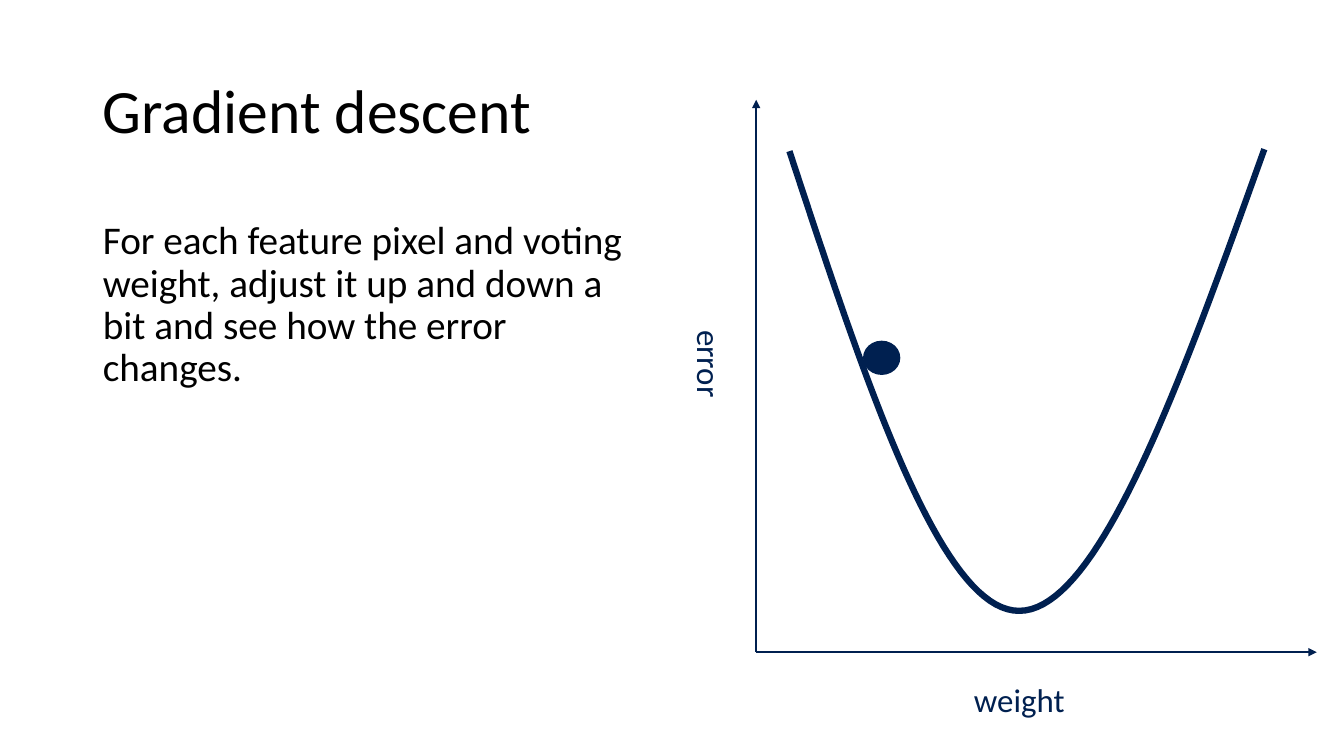
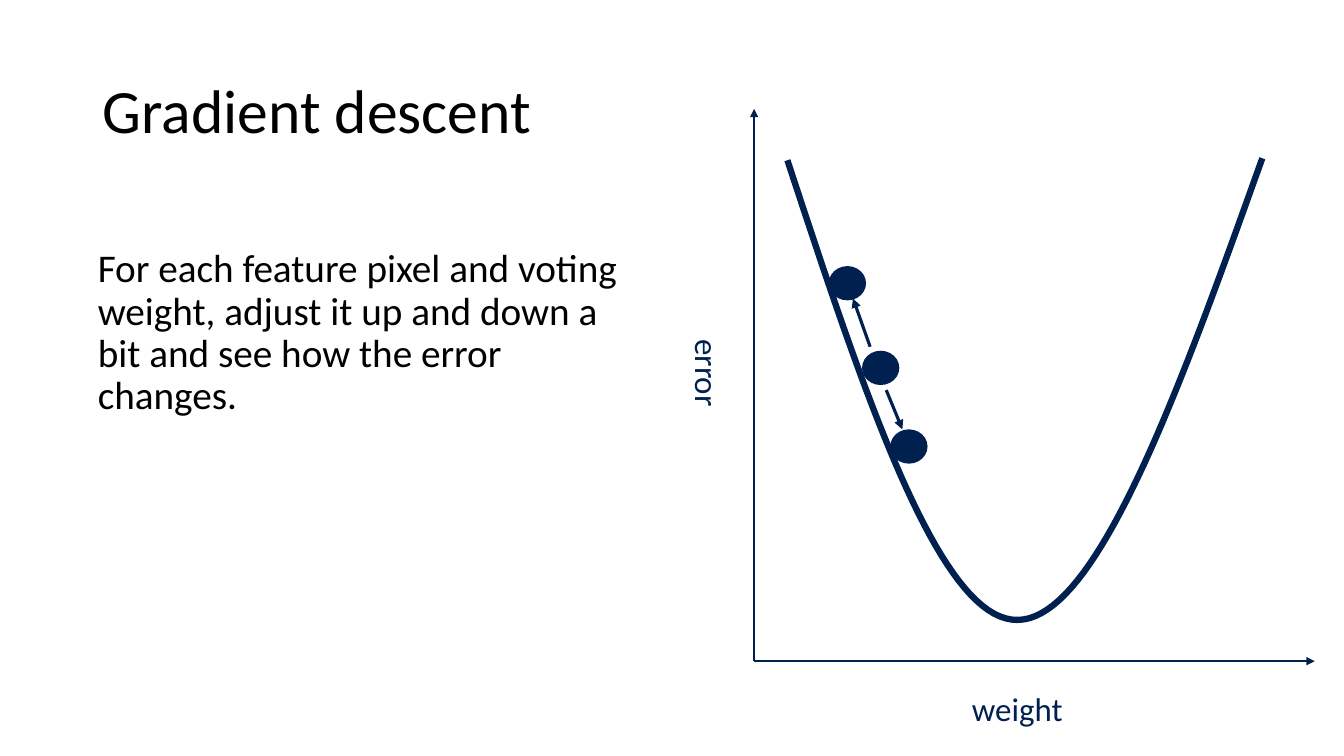
from dataclasses import dataclass

from lxml.etree import SubElement
from pptx import Presentation
from pptx.dml.color import RGBColor
from pptx.enum.shapes import MSO_CONNECTOR, MSO_SHAPE
from pptx.enum.text import MSO_ANCHOR, MSO_AUTO_SIZE, PP_ALIGN
from pptx.oxml.ns import qn
from pptx.util import Inches, Pt


@dataclass(frozen=True)
class Theme:
    font: str = "Calibri"
    text: RGBColor = RGBColor(0, 0, 0)
    navy: RGBColor = RGBColor(0x00, 0x20, 0x50)
    title_size: float = 44
    body_size: float = 28
    label_size: float = 23.5
    axis_width: float = 1.5
    step_width: float = 2.25
    curve_width: float = 4.5


theme = Theme()


def write_text(shape, text, size, color=theme.text, anchor=MSO_ANCHOR.TOP,
               auto_size=MSO_AUTO_SIZE.NONE, wrap=True, margins=(0.1, 0.05), space_after=0):
    frame = shape.text_frame
    frame.word_wrap = wrap
    frame.auto_size = auto_size
    frame.vertical_anchor = anchor
    frame.margin_left = frame.margin_right = Inches(margins[0])
    frame.margin_top = frame.margin_bottom = Inches(margins[1])
    paragraph = frame.paragraphs[0]
    paragraph.text = text
    properties = paragraph._p.get_or_add_pPr()
    properties.set("marL", "0")
    properties.set("indent", "0")
    SubElement(properties, qn("a:buNone"))
    paragraph.alignment = PP_ALIGN.LEFT
    paragraph.line_spacing = 0.9
    paragraph.space_before = Pt(0)
    paragraph.space_after = Pt(space_after)
    paragraph.font.name = theme.font
    paragraph.font.size = Pt(size)
    paragraph.font.color.rgb = color


def add_arrow(slide, start, end, width):
    arrow = slide.shapes.add_connector(
        MSO_CONNECTOR.STRAIGHT, *(Inches(value) for value in (*start, *end)))
    arrow.line.color.rgb = theme.navy
    arrow.line.width = Pt(width)
    SubElement(arrow.line._get_or_add_ln(), qn("a:tailEnd"), type="triangle")
    SubElement(arrow._element.spPr, qn("a:effectLst"))


# Chart geometry, measured from the origin of the axes
axis_ends = [(0, -5.48), (5.56, 0)]
labels = [("weight", 1.96, 0.16, 1.31, 0), ("error", -1.03, -3.18, 1.1, 90)]
label_height = 0.67
dot_width, dot_height = 0.37, 0.34
curve_segments = [
    [(0.33, -4.97), (1.08, -2.69), (1.83, -0.4), (2.61, -0.41)],
    [(2.61, -0.41), (3.4, -0.41), (4.22, -2.7), (5.04, -4.99)],
]
curve_steps = 40

# Sample the cubic curves into points
curve_points = [curve_segments[0][0]]
for segment in curve_segments:
    for step in range(1, curve_steps + 1):
        t = step / curve_steps
        weights = ((1 - t) ** 3, 3 * t * (1 - t) ** 2, 3 * t ** 2 * (1 - t), t ** 3)
        curve_points.append(tuple(
            sum(weight * point[axis] for weight, point in zip(weights, segment))
            for axis in (0, 1)))

# What differs between the slides
slides = [
    {"body": (0.92, 2.14), "origin": (7.5, 6.47), "dots": [(1.06, -3.09)], "steps": []},
    {"body": (0.87, 2.42), "origin": (7.48, 6.56),
     "dots": [(1.07, -3.08), (1.35, -2.3), (0.74, -3.92)],
     "steps": [((1.15, -3.12), (0.98, -3.6)), ((1.31, -2.69), (1.47, -2.3))]},
]

presentation = Presentation()
presentation.slide_width = Inches(13.33)
presentation.slide_height = Inches(7.5)
layout = presentation.slide_layouts[1]

for content in slides:
    slide = presentation.slides.add_slide(layout)
    x, y = content["origin"]

    # Title and body
    title, body = slide.shapes.title, slide.placeholders[1]
    title.left, title.top = Inches(0.92), Inches(0.4)
    title.width, title.height = Inches(11.5), Inches(1.45)
    write_text(title, "Gradient descent", theme.title_size, anchor=MSO_ANCHOR.MIDDLE)
    body.left, body.top = (Inches(value) for value in content["body"])
    body.width, body.height = Inches(5.35), Inches(3.17)
    write_text(body, "For each feature pixel and voting weight, adjust it up and down "
               "a bit and see how the error changes.", theme.body_size)

    # Error curve
    points = [(Inches(x + dx), Inches(y + dy)) for dx, dy in curve_points]
    builder = slide.shapes.build_freeform(*points[0])
    builder.add_line_segments(points[1:], close=False)
    curve = builder.convert_to_shape()
    curve.shadow.inherit = False
    curve.fill.background()
    curve.line.color.rgb = theme.navy
    curve.line.width = Pt(theme.curve_width)

    # Axes and their labels
    for dx, dy in axis_ends:
        add_arrow(slide, (x, y), (x + dx, y + dy), theme.axis_width)
    for text, dx, dy, width, rotation in labels:
        label = slide.shapes.add_textbox(
            Inches(x + dx), Inches(y + dy), Inches(width), Inches(label_height))
        label.rotation = rotation
        write_text(label, text, theme.label_size, color=theme.navy, wrap=False,
                   auto_size=MSO_AUTO_SIZE.SHAPE_TO_FIT_TEXT, margins=(0.2, 0.16),
                   space_after=5.9)

    # Positions on the curve and the steps between them
    for dx, dy in content["dots"]:
        dot = slide.shapes.add_shape(MSO_SHAPE.OVAL, Inches(x + dx), Inches(y + dy),
                                     Inches(dot_width), Inches(dot_height))
        dot.shadow.inherit = False
        dot.fill.solid()
        dot.fill.fore_color.rgb = theme.navy
        dot.line.fill.background()
    for start, end in content["steps"]:
        add_arrow(slide, (x + start[0], y + start[1]), (x + end[0], y + end[1]),
                  theme.step_width)

presentation.save("out.pptx")
